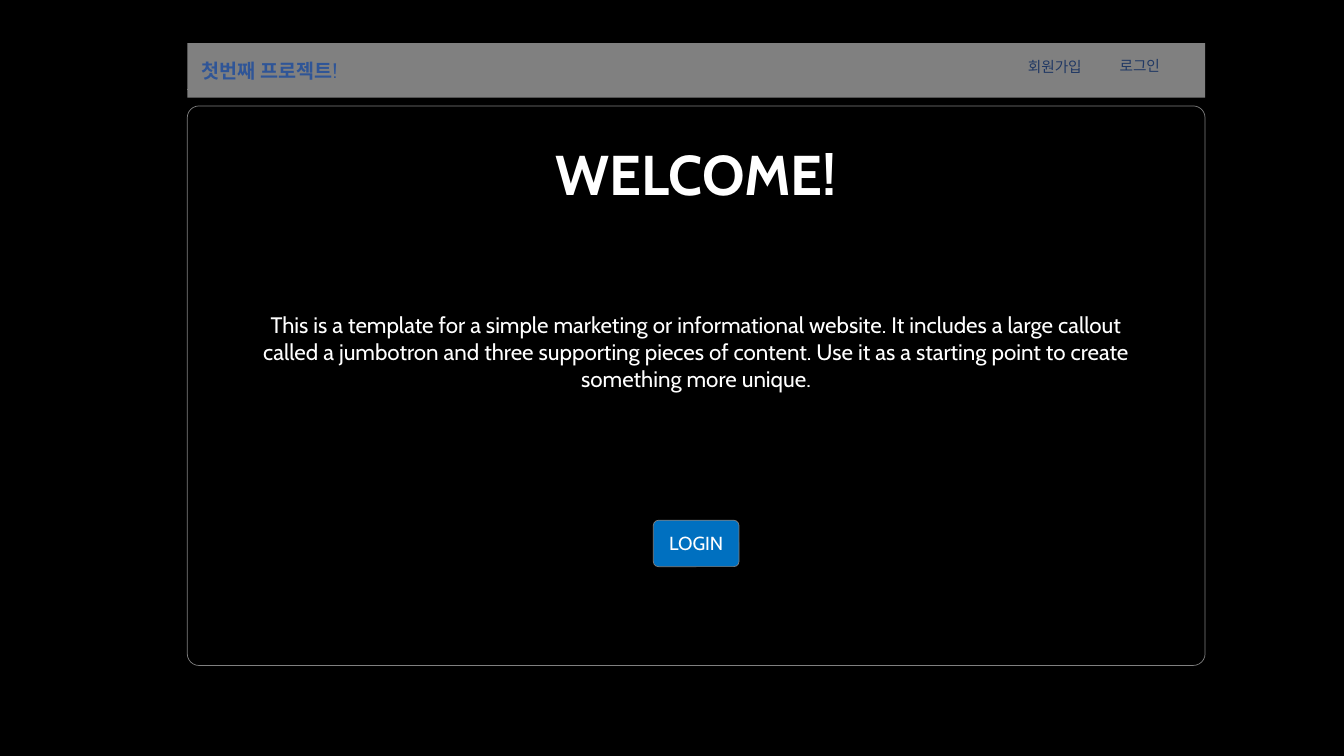
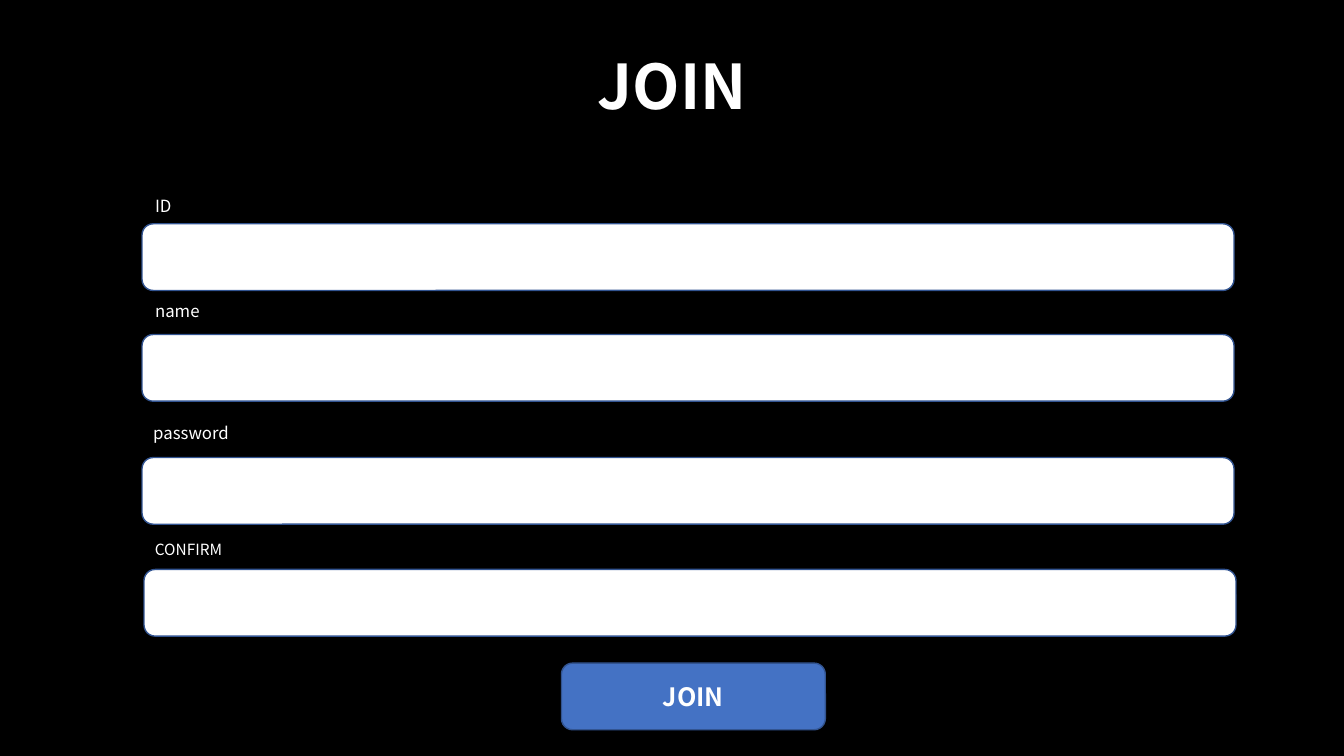
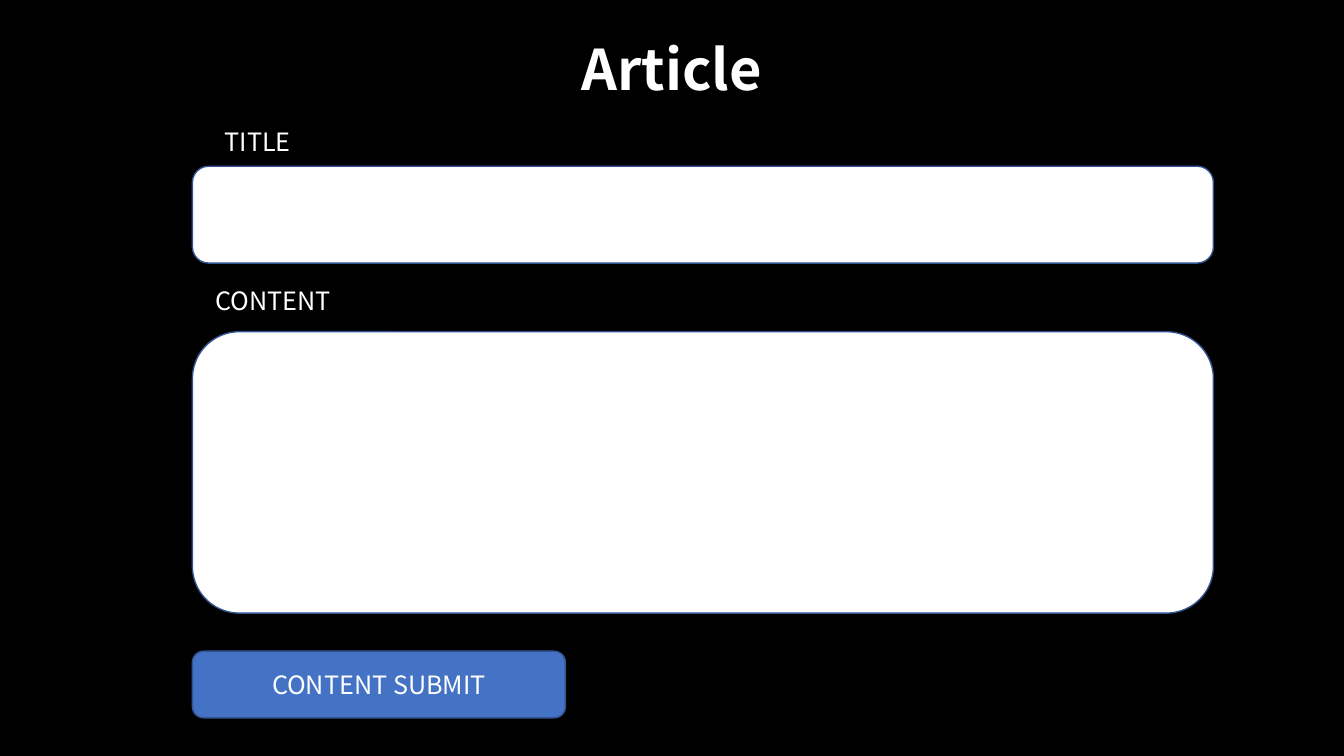
from lxml import etree
from pptx import Presentation
from pptx.dml.color import RGBColor
from pptx.enum.shapes import MSO_CONNECTOR, MSO_SHAPE
from pptx.enum.text import MSO_ANCHOR, PP_ALIGN
from pptx.oxml.ns import qn
from pptx.util import Cm, Pt

BLACK, WHITE, GRAY = "000000", "FFFFFF", "808080"
BLUE, EDGE, LOGIN_BLUE = "4472C4", "325491", "0070C0"
BRAND, NAV = "2F5597", "203864"
CABIN, NOTO = "Cabin", "Noto Sans CJK KR"
LEFT, CENTER = PP_ALIGN.LEFT, PP_ALIGN.CENTER
HEADING = {"size": Pt(44), "bold": True}


def rgb(code):
    """Return the colour for a hex string."""
    return RGBColor.from_string(code)


def add_run(p, text, color=WHITE, name=NOTO, **font):
    """Add a run with its colour, fonts and format values."""
    r = p.add_run()
    r.text = text
    r.font.color.rgb = rgb(color)
    for key, value in {**font, "name": name}.items():
        setattr(r.font, key, value)
    etree.SubElement(r.font._element, qn("a:ea")).set("typeface", NOTO)


def set_frame(tf, margins=(0.25, 0.13), anchor=MSO_ANCHOR.MIDDLE, wrap=True):
    """Set the insets, anchor and wrapping of a text frame."""
    dx, dy = (Cm(m) for m in margins)
    values = {"margin_left": dx, "margin_right": dx, "margin_top": dy,
              "margin_bottom": dy, "vertical_anchor": anchor, "word_wrap": wrap}
    for key, value in values.items():
        setattr(tf, key, value)


def add_panel(slide, box, fill, line=None, weight=1, adj=None, **frame):
    """Add a rounded panel and return its text frame."""
    sp = slide.shapes.add_shape(MSO_SHAPE.ROUNDED_RECTANGLE, *map(Cm, box))
    sp.shadow.inherit = False
    sp.fill.solid()
    sp.fill.fore_color.rgb = rgb(fill)
    if line:
        sp.line.color.rgb = rgb(line)
        sp.line.width = Pt(weight)
    else:
        sp.line.fill.background()
    if adj is not None:
        sp.adjustments[0] = adj
    set_frame(sp.text_frame, **frame)
    return sp.text_frame


def write(tf, text, align=LEFT, **font):
    """Write the single paragraph of a text frame."""
    p = tf.paragraphs[0]
    p.alignment = align
    add_run(p, text, **font)


def add_title(slide, box, text):
    """Add the large centred title of a slide."""
    tf = slide.shapes.add_textbox(*map(Cm, box)).text_frame
    set_frame(tf)
    write(tf, text, CENTER, **HEADING)
    tf.paragraphs[0].line_spacing = 0.9


def add_nav_bar(slide, box):
    """Draw the site bar with its name, two links and rule."""
    x, y, w, h = box
    tf = add_panel(slide, box, GRAY, adj=0, margins=(0.36, 0.13))
    brand = {"color": BRAND, "name": CABIN, "size": Pt(14)}
    write(tf, "첫번째 프로젝트", bold=True, **brand)
    add_run(tf.paragraphs[0], "! ", bold=False, **brand)
    for text, dx, dy, width in (("로그인", 23.19, 0.13, 1.93),
                                ("회원가입", 20.88, 0.15, 2.31)):
        tf = add_panel(slide, (x + dx, y + dy, width, 0.86), GRAY, GRAY, 0.5,
                       0.108, margins=(0.28, 0.18))
        write(tf, text, color=NAV, name=CABIN, size=Pt(10.5))
    rule = slide.shapes.add_connector(
        MSO_CONNECTOR.STRAIGHT, Cm(x), Cm(y + 1.15), Cm(x + w), Cm(y + 1.15))
    rule.line.color.rgb = rgb(GRAY)
    rule.line.width = Pt(0.5)
    etree.SubElement(rule._element.spPr, qn("a:effectLst"))


def add_hero(slide, box):
    """Draw the welcome panel with its text and login button."""
    x, y, w, h = box
    tf = add_panel(slide, box, BLACK, GRAY, 0.5, 0.021,
                   margins=(1.52, 0.76), anchor=MSO_ANCHOR.TOP)
    write(tf, "WELCOME!", CENTER, name=CABIN, size=Pt(40), bold=True)
    tf.paragraphs[0].space_after = Pt(12)
    p = tf.add_paragraph()
    for key, value in {"alignment": CENTER, "space_before": Pt(62.5),
                       "space_after": Pt(12)}.items():
        setattr(p, key, value)
    add_run(p, "This is a template for a simple marketing or informational "
               "website. It includes a large callout called a jumbotron and "
               "three supporting pieces of content. Use it as a starting point "
               "to create something more unique.", name=CABIN, size=Pt(16))
    width = 2.16
    tf = add_panel(slide, (x + (w - width) / 2, y + 10.44, width, 1.17),
                   LOGIN_BLUE, GRAY, 0.5, 0.112, margins=(0.36, 0.25), wrap=False)
    write(tf, "LOGIN", name=CABIN, size=Pt(13.5))


def add_field(slide, box, label, size, label_box):
    """Draw an input field with its label placed from the field's corner."""
    x, y, w, h = box
    dx, rise, width, height = label_box
    add_panel(slide, box, WHITE, EDGE)
    tf = add_panel(slide, (x + dx, y - rise, width, height), BLACK)
    write(tf, label, size=Pt(size))


def add_button(slide, box, text, bold=False):
    """Draw a blue form button."""
    write(add_panel(slide, box, BLUE, EDGE), text, CENTER, size=Pt(18), bold=bold)


def welcome_slide(slide):
    """Build the landing page."""
    add_nav_bar(slide, (4.72, 1.09, 25.65, 1.37))
    add_hero(slide, (4.72, 2.67, 25.65, 14.1))


def join_slide(slide):
    """Build the sign-up form."""
    add_title(slide, (2.34, 1.02, 29.21, 2.46), "JOIN")
    for x, y, label, size, label_box in (
            (3.58, 5.64, "ID", 12, (0.05, 0.76, 3.05, 0.61)),
            (3.58, 8.43, "name", 12, (0.05, 0.89, 3.86, 0.61)),
            (3.58, 11.53, "password", 12, (0, 0.96, 3.05, 0.69)),
            (3.63, 14.35, "CONFIRM", 11, (0, 0.74, 3.05, 0.48))):
        add_field(slide, (x, y, 27.52, 1.68), label, size, label_box)
    add_button(slide, (14.15, 16.71, 6.65, 1.68), "JOIN", bold=True)


def article_slide(slide):
    """Build the article form."""
    heading = add_panel(slide, (3.28, 1.17, 27.3, 1.07), BLACK)
    write(heading, "Article", CENTER, **{**HEADING, "size": Pt(40)})
    for y, height, label, label_box in (
            (4.19, 2.44, "TITLE", (0.53, 0.99, 4.9, 0.71)),
            (8.36, 7.09, "CONTENT", (0.28, 1.2, 5.44, 0.84))):
        add_field(slide, (4.85, y, 25.73, height), label, 18, label_box)
    add_button(slide, (4.85, 16.41, 9.4, 1.68), "CONTENT SUBMIT")


def main():
    """Build and save the presentation."""
    prs = Presentation()
    prs.slide_width, prs.slide_height = Cm(33.87), Cm(19.05)
    background = prs.slide_master.background.fill
    background.solid()
    background.fore_color.rgb = rgb(BLACK)
    for build in (welcome_slide, join_slide, article_slide):
        build(prs.slides.add_slide(prs.slide_layouts[6]))
    prs.save("out.pptx")


main()
